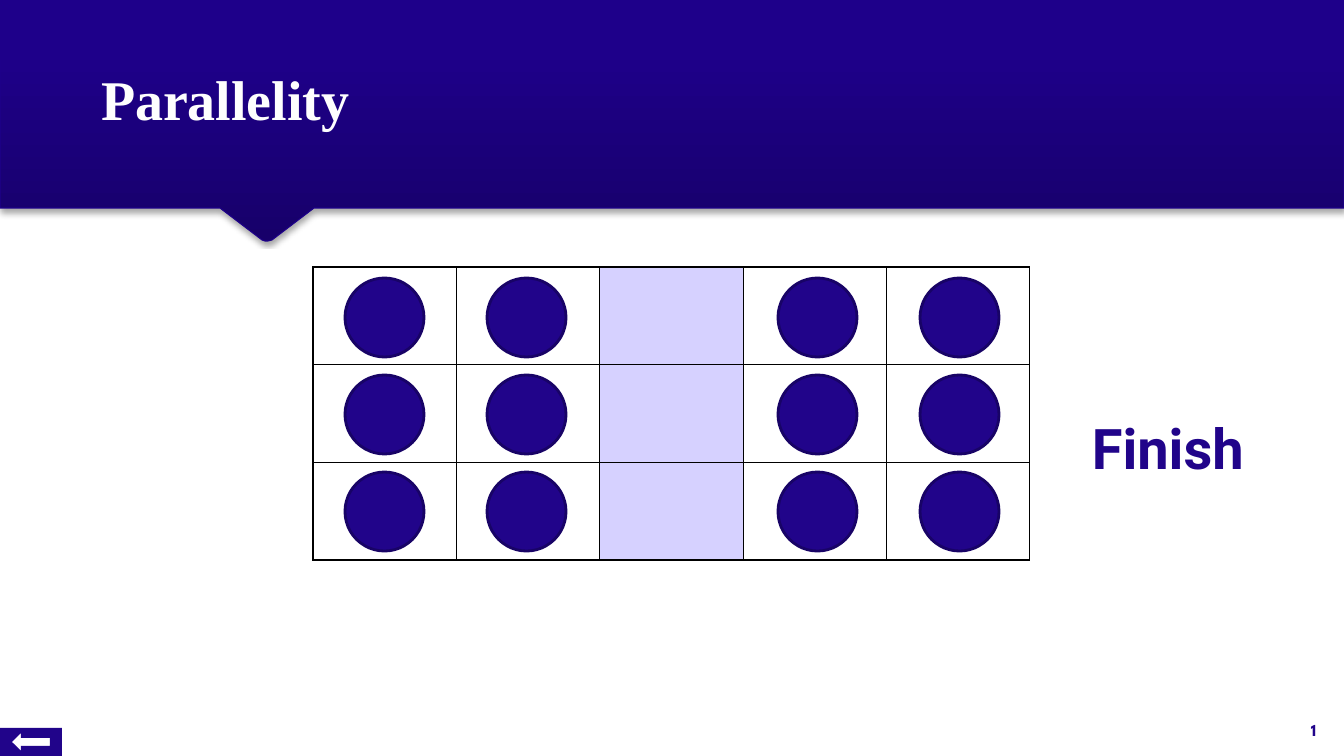
import itertools

import lxml.etree
import pptx
import pptx.dml.color
import pptx.enum.shapes
import pptx.enum.text
import pptx.oxml
import pptx.oxml.ns
import pptx.util

RGB = pptx.dml.color.RGBColor
INDIGO = RGB(0x21, 0x04, 0x8A)
INDIGO_EDGE = RGB(0x18, 0x03, 0x66)
HEADER_DARK = RGB(0x17, 0x00, 0x6A)
HEADER_LIGHT = RGB(0x1E, 0x00, 0x8A)
HEADER_EDGE = RGB(0x1E, 0x01, 0x8A)
LILAC = RGB(0xD6, 0xD1, 0xFF)
WHITE = RGB(0xFF, 0xFF, 0xFF)
TITLE_WHITE = RGB(0xFE, 0xFE, 0xFE)
BLACK = RGB(0x00, 0x00, 0x00)

SCALE = 914400 / 100.8
ROWS, COLUMNS, GAP_COLUMN = 3, 5, 2


def px(length):
    return pptx.util.Emu(round(length * SCALE))


def shadow_effect(blur, distance, opacity):
    """Return an effect list with a shadow falling straight down."""
    return pptx.oxml.parse_xml(
        f'<a:effectLst {pptx.oxml.ns.nsdecls("a")}>'
        f'<a:outerShdw blurRad="{pptx.util.Pt(blur)}" dist="{pptx.util.Pt(distance)}" '
        f'dir="5400000" algn="tl" rotWithShape="0"><a:srgbClr val="{BLACK}">'
        f'<a:alpha val="{opacity * 1000}"/></a:srgbClr></a:outerShdw></a:effectLst>')


def add_outline(page, contours):
    first, *others = contours
    builder = page.shapes.build_freeform(*first[0], scale=SCALE)
    builder.add_line_segments(first[1:], close=True)
    for contour in others:
        builder.move_to(*contour[0])
        builder.add_line_segments(contour[1:], close=True)
    outline = builder.convert_to_shape()
    outline.shadow.inherit = False
    return outline


def write_text(shape, text, size, font_name, color):
    frame = shape.text_frame
    frame.text = text
    para = frame.paragraphs[0]
    para.alignment = pptx.enum.text.PP_ALIGN.LEFT
    para.font.size = pptx.util.Pt(size)
    para.font.name = font_name
    para.font.bold = True
    para.font.color.rgb = color
    return para


def add_label(page, bounds, text, size, font_name, wrap=True):
    box = page.shapes.add_textbox(*map(px, bounds))
    box.text_frame.word_wrap = wrap
    write_text(box, text, size, font_name, INDIGO)


def add_header(page):
    header = add_outline(page, [[
        (1344, 0), (0, 0), (0, 208), (220, 208), (262, 240), (265, 241),
        (268, 241), (272, 240), (314, 208), (1344, 208)]])
    header.fill.gradient()
    header.fill.gradient_angle = 90
    dark, light = header.fill.gradient_stops
    dark.color.rgb, dark.position = HEADER_DARK, 0
    light.color.rgb, light.position = HEADER_LIGHT, 0.8
    header.line.color.rgb = HEADER_EDGE
    header.line.width = pptx.util.Pt(0.75)
    properties = header._element.spPr
    properties.replace(properties.find(pptx.oxml.ns.qn("a:effectLst")),
                       shadow_effect(3.1, 1.8, 35))
    return header


def place_title(page, text, header):
    title = page.shapes.title
    title.left, title.top, title.width, title.height = map(px, (91, 45, 1165, 107))
    title.text_frame.vertical_anchor = pptx.enum.text.MSO_ANCHOR.MIDDLE
    title.text_frame.auto_size = pptx.enum.text.MSO_AUTO_SIZE.NONE
    para = write_text(title, text, 40, "Times New Roman", TITLE_WHITE)
    # The text shadow belongs to the run, right at the start of its properties
    para.runs[0].font._element.insert(0, shadow_effect(3, 2, 60))
    title._element.addprevious(header._element)


def add_back_button(page):
    arrow = [(21, 733), (12, 742), (21, 751), (21, 746), (50, 746), (50, 738), (21, 738)]
    frame = [(0, 728), (62, 728), (62, 756), (0, 756)]
    button = add_outline(page, [arrow, frame])
    button.fill.solid()
    button.fill.fore_color.rgb = INDIGO
    button.line.fill.background()


def add_cell_borders(cell):
    properties = cell._tc.get_or_add_tcPr()
    for position, side in enumerate(("lnL", "lnR", "lnT", "lnB")):
        properties.insert(position, pptx.oxml.parse_xml(
            f'<a:{side} {pptx.oxml.ns.nsdecls("a")} w="{pptx.util.Pt(1)}">'
            f'<a:solidFill><a:srgbClr val="{BLACK}"/></a:solidFill></a:{side}>'))


def add_grid(page):
    bounds = map(px, (313, 267, 717, 293))
    grid = page.shapes.add_table(ROWS, COLUMNS, *bounds).table
    for row, column in itertools.product(range(ROWS), range(COLUMNS)):
        cell = grid.cell(row, column)
        cell.fill.solid()
        cell.fill.fore_color.rgb = LILAC if column == GAP_COLUMN else WHITE
        add_cell_borders(cell)


def add_counter(page, left, top):
    counter = page.shapes.add_shape(
        pptx.enum.shapes.MSO_SHAPE.FLOWCHART_CONNECTOR, *map(px, (left, top, 79, 79)))
    counter.shadow.inherit = False
    counter.fill.solid()
    counter.fill.fore_color.rgb = INDIGO
    counter.line.color.rgb = INDIGO_EDGE
    counter.line.width = pptx.util.Pt(2)


def main():
    deck = pptx.Presentation()
    deck.slide_width, deck.slide_height = px(1344), px(756)
    page = deck.slides.add_slide(deck.slide_layouts[5])

    # Header band and title
    place_title(page, "Parallelity", add_header(page))

    # Navigation, page number and side label
    add_back_button(page)
    add_label(page, (1301, 715, 29, 30), "1", 12, "League Spartan", wrap=False)
    add_label(page, (1082, 409, 220, 78), "Finish", 40, "Roboto")

    # Grid with a pair of counters on each side of the empty column
    add_grid(page)
    for pair_left, row, place in itertools.product((345, 778), range(ROWS), range(2)):
        add_counter(page, pair_left + 142 * place, 278 + 97 * row)

    deck.save("out.pptx")


main()
